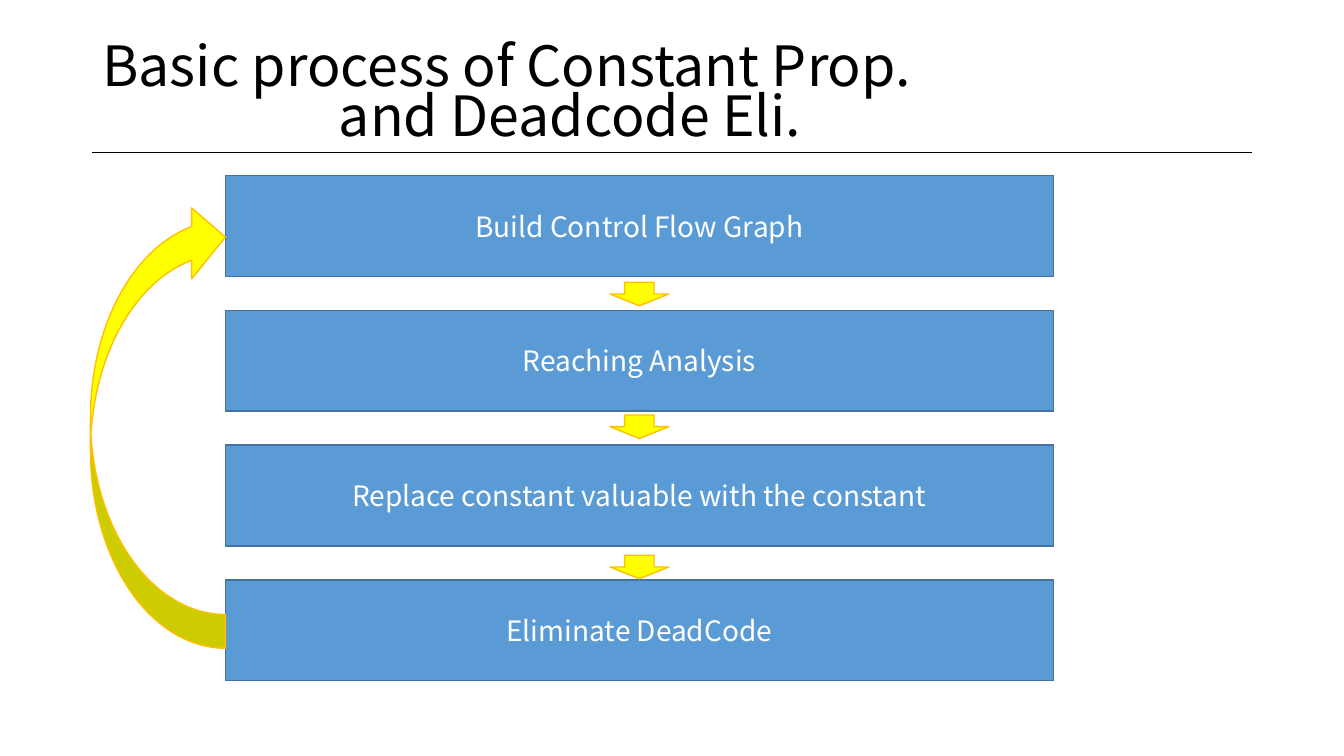
from pptx import Presentation
from pptx.dml.color import RGBColor
from pptx.enum.shapes import MSO_CONNECTOR, MSO_SHAPE
from pptx.enum.text import MSO_ANCHOR, PP_ALIGN
from pptx.oxml import parse_xml
from pptx.util import Pt

# (text, left indent)
TITLE_LINES = [("Basic process of Constant Prop.", 0), ("and Deadcode Eli.", 169)]
STEPS = [
    "Build Control Flow Graph",
    "Reaching Analysis",
    "Replace constant valuable with the constant",
    "Eliminate DeadCode",
]
ARROW_TOPS = [201.6, 296.4, 396.6]

FONT = "Noto Sans CJK KR"
BLACK = RGBColor(0x00, 0x00, 0x00)
WHITE = RGBColor(0xFF, 0xFF, 0xFF)
BLUE = RGBColor(0x5B, 0x9B, 0xD5)
DARK_BLUE = RGBColor(0x43, 0x73, 0x9E)
YELLOW = RGBColor(0xFF, 0xFF, 0x00)
ORANGE = RGBColor(0xFF, 0xC0, 0x00)

MARGIN, CONTENT_WIDTH, RULE_Y = 66, 828, 108.8
TITLE_TOP, TITLE_HEIGHT = 28.8, 80
STEP_LEFT, STEP_TOP, STEP_WIDTH, STEP_HEIGHT, STEP_PITCH = 161, 125.4, 591.4, 72, 96.3
ARROW_WIDTH, ARROW_HEIGHT = 42, 16.8
LOOP_LEFT, LOOP_TOP, LOOP_HEIGHT = 64.6, 144, 319
LOOP_ADJUSTMENTS = (0.25, 0.526, 0.25)


def add_block(slide, preset, left, top, width, height, fill, outline):
    block = slide.shapes.add_shape(preset, Pt(left), Pt(top), Pt(width), Pt(height))
    block.shadow.inherit = False
    block.fill.solid()
    block.fill.fore_color.rgb = fill
    block.line.color.rgb = outline
    block.line.width = Pt(1)
    return block


def style(paragraph, size, color, alignment):
    paragraph.alignment = alignment
    paragraph.font.name = FONT
    paragraph.font.size = Pt(size)
    paragraph.font.color.rgb = color


def add_title(slide):
    title = slide.shapes.add_textbox(
        Pt(MARGIN), Pt(TITLE_TOP), Pt(CONTENT_WIDTH), Pt(TITLE_HEIGHT)
    ).text_frame
    title.word_wrap = True
    title.vertical_anchor = MSO_ANCHOR.MIDDLE
    title.text = "\n".join(text for text, _ in TITLE_LINES)
    for paragraph, (_, indent) in zip(title.paragraphs, TITLE_LINES):
        style(paragraph, 39.6, BLACK, PP_ALIGN.LEFT)
        paragraph.line_spacing = 0.75
        paragraph._p.get_or_add_pPr().set("marL", str(Pt(indent)))


def add_rule(slide):
    rule = slide.shapes.add_connector(
        MSO_CONNECTOR.STRAIGHT,
        Pt(MARGIN), Pt(RULE_Y), Pt(MARGIN + CONTENT_WIDTH), Pt(RULE_Y),
    )
    rule.line.color.rgb = BLACK
    rule.line.width = Pt(1)
    rule._element.spPr.append(parse_xml(
        '<a:effectLst xmlns:a="http://schemas.openxmlformats.org/drawingml/2006/main"/>'
    ))


def add_steps(slide):
    for row, text in enumerate(STEPS):
        step = add_block(slide, MSO_SHAPE.RECTANGLE, STEP_LEFT, STEP_TOP + row * STEP_PITCH,
                         STEP_WIDTH, STEP_HEIGHT, BLUE, DARK_BLUE)
        step.text_frame.text = text
        step.text_frame.vertical_anchor = MSO_ANCHOR.MIDDLE
        style(step.text_frame.paragraphs[0], 20, WHITE, PP_ALIGN.CENTER)


def add_arrows(slide):
    arrow_left = STEP_LEFT + (STEP_WIDTH - ARROW_WIDTH) / 2
    for top in ARROW_TOPS:
        add_block(slide, MSO_SHAPE.DOWN_ARROW, arrow_left, top,
                  ARROW_WIDTH, ARROW_HEIGHT, YELLOW, ORANGE)

    loop = add_block(slide, MSO_SHAPE.CURVED_LEFT_ARROW, LOOP_LEFT, LOOP_TOP,
                     STEP_LEFT - LOOP_LEFT, LOOP_HEIGHT, YELLOW, ORANGE)
    loop.rotation = 180
    for index, value in enumerate(LOOP_ADJUSTMENTS):
        loop.adjustments[index] = value


def main():
    deck = Presentation()
    deck.slide_width, deck.slide_height = Pt(960), Pt(540)
    slide = deck.slides.add_slide(deck.slide_layouts[6])
    add_rule(slide)
    add_title(slide)
    add_steps(slide)
    add_arrows(slide)
    deck.save("out.pptx")


if __name__ == "__main__":
    main()
